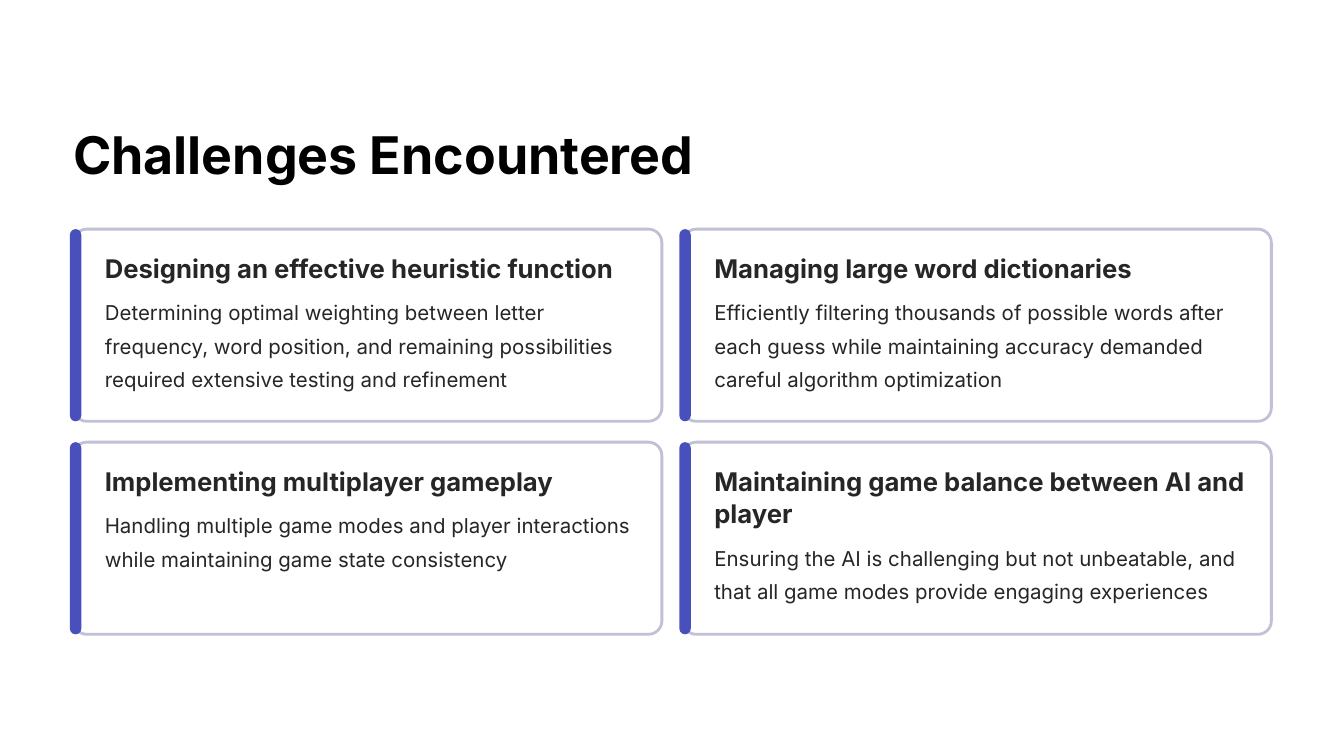
"""Build the "Challenges Encountered" slide with a two-by-two grid of cards."""
from pptx import Presentation
from pptx import util as u
from pptx.dml.color import RGBColor
from pptx.enum import shapes, text

PX = 9144
WHITE = RGBColor(0xFF, 0xFF, 0xFF)
BLACK = RGBColor(0x00, 0x00, 0x00)
INK = RGBColor(0x27, 0x25, 0x25)
BORDER = RGBColor(0xC0, 0xC1, 0xD7)
ACCENT = RGBColor(0x49, 0x50, 0xBC)

LEFT, TOP = 109, 341
CARD_WIDTH, CARD_HEIGHT = 876, 286
COLUMN_STEP, ROW_STEP = 907, 317
TEXT_WIDTH = 793
HEADING_LINE, BODY_LINE = 48, 49

CARDS = [
    ("Designing an effective heuristic function", 768, 1,
     "Determining optimal weighting between letter frequency, word position, "
     "and remaining possibilities required extensive testing and refinement", 3),
    ("Managing large word dictionaries", 631, 1,
     "Efficiently filtering thousands of possible words after each guess "
     "while maintaining accuracy demanded careful algorithm optimization", 3),
    ("Implementing multiplayer gameplay", 677, 1,
     "Handling multiple game modes and player interactions "
     "while maintaining game state consistency", 2),
    ("Maintaining game balance between AI and player", TEXT_WIDTH, 2,
     "Ensuring the AI is challenging but not unbeatable, and that "
     "all game modes provide engaging experiences", 2),
]


def add_text(page, words, left, top, width, height, size, spacing, color, bold):
    box = page.shapes.add_textbox(left * PX, top * PX, width * PX, height * PX)
    frame = box.text_frame
    frame.margin_left = frame.margin_top = frame.margin_right = frame.margin_bottom = 0
    frame.word_wrap = True
    frame.auto_size = text.MSO_AUTO_SIZE.SHAPE_TO_FIT_TEXT
    para = frame.paragraphs[0]
    para.text = words
    para.line_spacing = u.Pt(spacing)
    para.font.name = "Inter"
    para.font.size = u.Pt(size)
    para.font.bold = bold
    para.font.color.rgb = color


def add_rounded(page, left, top, width, height, corner, fill):
    panel = page.shapes.add_shape(
        shapes.MSO_SHAPE.ROUNDED_RECTANGLE, left * PX, top * PX, width * PX, height * PX)
    panel.adjustments[0] = corner
    panel.shadow.inherit = False
    panel.fill.solid()
    panel.fill.fore_color.rgb = fill
    panel.line.fill.background()
    return panel


deck = Presentation()
deck.slide_width, deck.slide_height = 2000 * PX, 1125 * PX
page = deck.slides.add_slide(deck.slide_layouts[6])

add_text(page, "Challenges Encountered", LEFT, 179, 927, 100, 55.6, 69.4, BLACK, True)

for index, (heading, heading_width, heading_lines, body, body_lines) in enumerate(CARDS):
    row, column = divmod(index, 2)
    left = LEFT + column * COLUMN_STEP
    top = TOP + row * ROW_STEP
    card = add_rounded(page, left, top, CARD_WIDTH, CARD_HEIGHT, 0.07, WHITE)
    card.line.color.rgb = BORDER
    card.line.width = u.Pt(3)
    add_rounded(page, left - 5, top, 17, CARD_HEIGHT, 0.5, ACCENT)

    text_left, heading_top = left + 47, top + 33
    body_top = heading_top + 12 + heading_lines * HEADING_LINE
    add_text(page, heading, text_left, heading_top, heading_width,
             heading_lines * HEADING_LINE + 3, 27.5, 34.4, INK, True)
    add_text(page, body, text_left, body_top, TEXT_WIDTH,
             body_lines * BODY_LINE + 11, 21.9, 35.6, INK, False)

deck.save("out.pptx")
